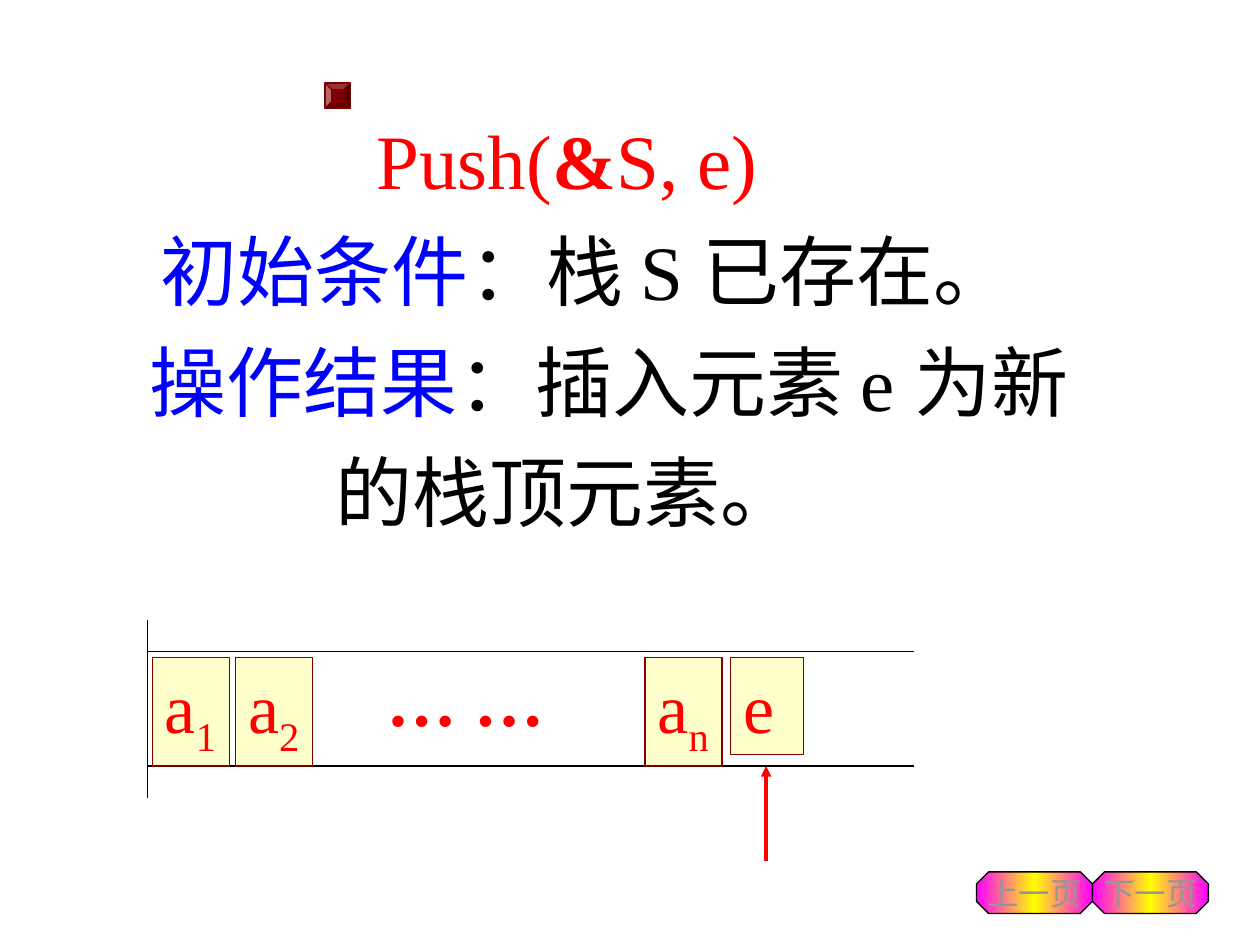
from copy import deepcopy
from pptx import Presentation
from pptx.dml.color import RGBColor
from pptx.enum.shapes import MSO_CONNECTOR, MSO_SHAPE
from pptx.enum.text import MSO_ANCHOR, MSO_AUTO_SIZE, PP_ALIGN
from pptx.oxml.ns import qn
from pptx.oxml.xmlchemy import OxmlElement
from pptx.util import Inches, Pt

RED = RGBColor(0xFF, 0, 0)
BLUE = RGBColor(0, 0, 0xFF)
BLACK = RGBColor(0, 0, 0)
MAROON = RGBColor(0x80, 0, 0)
CREAM = RGBColor(0xFF, 0xFF, 0xCC)
GRAY = RGBColor(0x96, 0x96, 0x96)
PINK = RGBColor(0xFF, 0, 0xFF)
YELLOW = RGBColor(0xFF, 0xFF, 0)


def write(para, text, size=40, color=RED, bold=False, base=None):
    run = para.add_run()
    run.text = text
    font = run.font
    font.name = "Times New Roman"
    font.size = Pt(size)
    font.bold = bold
    font.color.rgb = color
    if base:
        run._r.get_or_add_rPr().set("baseline", str(base))


def draw(kind, left, top, width, height, line):
    shape = slide.shapes.add_shape(
        kind, Inches(left), Inches(top), Inches(width), Inches(height))
    shape.shadow.inherit = False
    shape.line.color.rgb = line
    shape.line.width = Pt(0.75)
    return shape


prs = Presentation()
prs.slide_width, prs.slide_height = Inches(10), Inches(7.5)
slide = prs.slides.add_slide(prs.slide_layouts[5])

title = slide.shapes.title
title.left, title.top = Inches(0.25), Inches(2.25)
title.width, title.height = Inches(8.5), Inches(1.25)
frame = title.text_frame
frame.word_wrap = True
frame.auto_size = MSO_AUTO_SIZE.NONE
frame.vertical_anchor = MSO_ANCHOR.MIDDLE
frame.margin_bottom = Inches(0.79)
lines = [
    (0, [("Push(", RED, False), ("&", RED, True), ("S, e)", RED, False)]),
    (0.3, [("初始条件", BLUE, False), ("：栈 S 已存在。", BLACK, False)]),
    (0.67, [("操作结果", BLUE, False),
            ("：插入元素 e 为新的栈顶元素。", BLACK, False)]),
]
for i, (indent, runs) in enumerate(lines):
    para = frame.add_paragraph() if i else frame.paragraphs[0]
    para.alignment = PP_ALIGN.CENTER
    para.line_spacing = 1.2
    para.space_before = Pt(0)
    para._p.get_or_add_pPr().set("indent", str(Inches(indent)))
    for text, color, bold in runs:
        write(para, text, size=44, color=color, bold=bold)

for i, text in enumerate(["上一页", "下一页"]):
    button = draw(MSO_SHAPE.OCTAGON, 7.75 + i * 0.92, 6.92, 0.92, 0.33, BLACK)
    button.adjustments[0] = 0.29
    fill = button.fill
    fill.gradient()
    fill.gradient_angle = 0
    stops = button._element.spPr.find(".//" + qn("a:gsLst"))
    stops.append(deepcopy(stops[-1]))
    for stop, place, color in zip(
            fill.gradient_stops, (0, 0.5, 1), (PINK, YELLOW, PINK)):
        stop.position = place
        stop.color.rgb = color
    frame = button.text_frame
    frame.word_wrap = False
    frame.vertical_anchor = MSO_ANCHOR.MIDDLE
    frame.paragraphs[0].alignment = PP_ALIGN.CENTER
    write(frame.paragraphs[0], text, size=18, color=GRAY)

bullet = draw(MSO_SHAPE.BEVEL, 2.58, 0.66, 0.2, 0.2, MAROON)
bullet.adjustments[0] = 0.25
bullet.fill.solid()
bullet.fill.fore_color.rgb = MAROON

for x1, y1, x2, y2, color, width in [
        (1.17, 4.92, 1.17, 6.33, BLACK, 0.75),
        (1.17, 5.17, 7.25, 5.17, BLACK, 0.75),
        (1.17, 6.08, 7.25, 6.08, BLACK, 0.75),
        (6.08, 6.83, 6.08, 6.08, RED, 2)]:
    line = slide.shapes.add_connector(
        MSO_CONNECTOR.STRAIGHT, Inches(x1), Inches(y1), Inches(x2), Inches(y2))
    line.line.color.rgb = color
    line.line.width = Pt(width)
    props = line._element.spPr
    if color == RED:
        head = OxmlElement("a:tailEnd")
        head.set("type", "triangle")
        props.find(qn("a:ln")).append(head)
    props.append(OxmlElement("a:effectLst"))

for left, width, height, text, sub in [
        (1.21, 0.61, 0.86, "a", "1"), (1.87, 0.61, 0.86, "a", "2"),
        (5.12, 0.61, 0.86, "a", "n"), (5.8, 0.58, 0.77, "e", None)]:
    cell = draw(MSO_SHAPE.RECTANGLE, left, 5.22, width, height, MAROON)
    cell.fill.solid()
    cell.fill.fore_color.rgb = CREAM
    frame = cell.text_frame
    frame.word_wrap = False
    frame.vertical_anchor = MSO_ANCHOR.TOP
    para = frame.paragraphs[0]
    para.alignment = PP_ALIGN.LEFT
    write(para, text)
    if sub:
        write(para, sub, base=-25000)

dots = slide.shapes.add_textbox(
    Inches(2.97), Inches(5.16), Inches(1.45), Inches(0.77))
dots.text_frame.word_wrap = False
write(dots.text_frame.paragraphs[0], "… …", bold=True)

prs.save("out.pptx")
